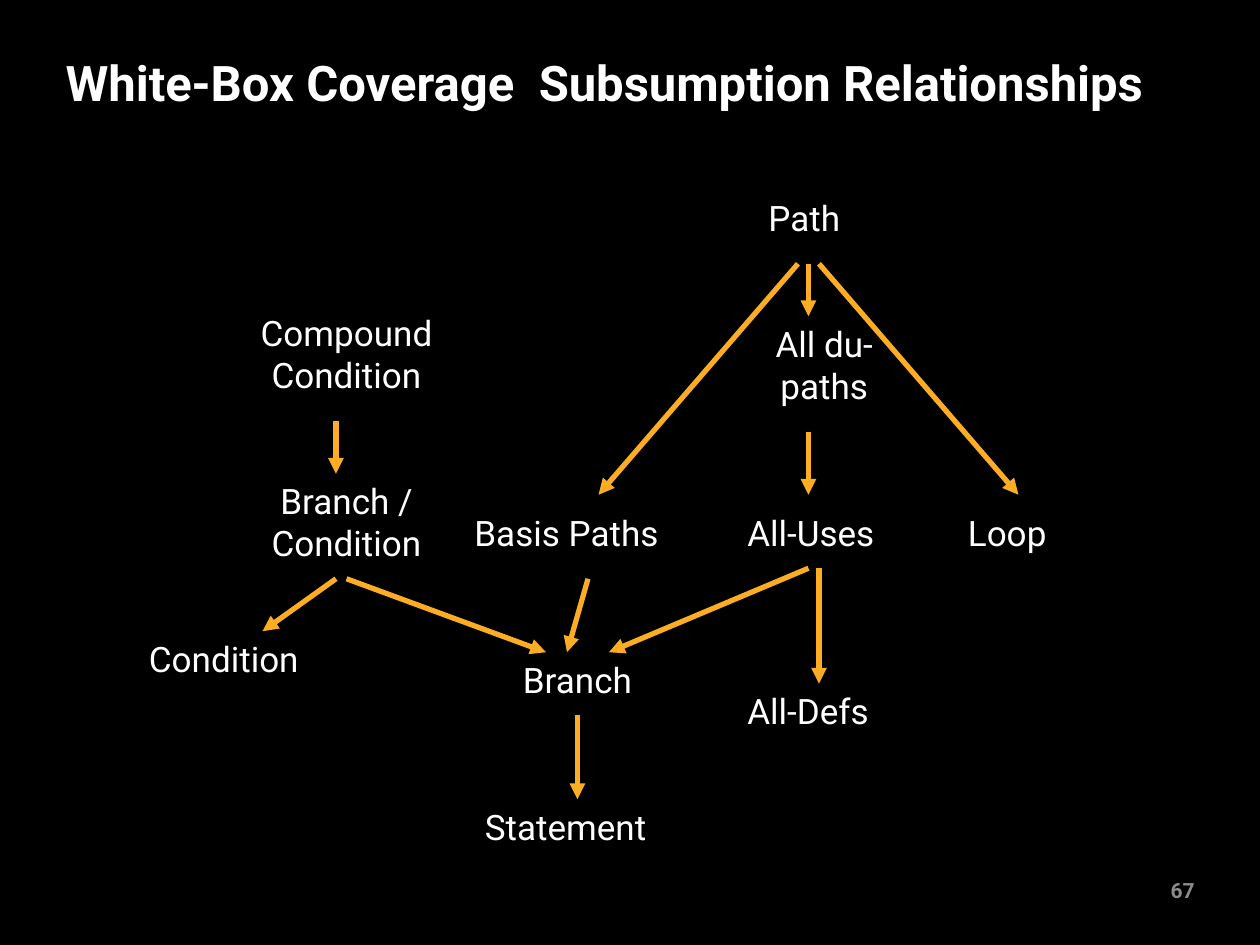
from dataclasses import dataclass
from lxml import etree
from pptx import Presentation
from pptx.dml.color import RGBColor
from pptx.enum.shapes import MSO_CONNECTOR
from pptx.enum.text import MSO_ANCHOR, PP_ALIGN
from pptx.oxml.ns import qn
from pptx.util import Inches, Pt

LEFT, CENTER, RIGHT = PP_ALIGN.LEFT, PP_ALIGN.CENTER, PP_ALIGN.RIGHT
TOP, MIDDLE = MSO_ANCHOR.TOP, MSO_ANCHOR.MIDDLE
STRAIGHT = MSO_CONNECTOR.STRAIGHT


@dataclass(frozen=True)
class Theme:
    font: str = "Roboto"
    back: str = "000000"
    text: str = "FFFFFF"
    muted: str = "8C8C8C"
    arrow: str = "FDAD23"
    title_size: int = 28
    node_size: int = 20
    number_size: int = 12
    arrow_width: int = 3


THEME = Theme()
WIDTH, HEIGHT = 10, 7.5
CELLS_PER_INCH = 12
TOP_OFFSET = 0.01
LINE_HEIGHT, PADDING = 0.33, 0.1

TITLE = "White-Box Coverage  Subsumption Relationships"
NUMBER = "67"

# label, column, row, columns wide, text lines, alignment
NODES = [
    ("Path", 72, 18, 12, 1, LEFT),
    ("All du-paths", 71, 30, 15, 2, CENTER),
    ("All-Uses", 70, 48, 18, 1, LEFT),
    ("All-Defs", 70, 65, 17, 1, LEFT),
    ("Compound Condition", 19, 29, 28, 2, CENTER),
    ("Branch / Condition", 22, 45, 22, 2, CENTER),
    ("Basis Paths", 44, 48, 26, 1, LEFT),
    ("Loop", 91, 48, 16, 1, LEFT),
    ("Condition", 13, 60, 22, 1, LEFT),
    ("Statement", 45, 76, 23, 1, LEFT),
    ("Branch", 46, 62, 18, 1, CENTER),
]

ARROWS = [
    ((77, 25), (77, 30)),
    ((76, 25), (57, 47)),
    ((78, 25), (97, 47)),
    ((77, 41), (77, 47)),
    ((77, 54), (58, 62)),
    ((78, 54), (78, 65)),
    ((56, 55), (54, 62)),
    ((55, 68), (55, 76)),
    ((32, 40), (32, 45)),
    ((32, 55), (25, 60)),
    ((33, 55), (52, 62)),
]


def grid(col, row):
    return Inches(col / CELLS_PER_INCH), Inches(row / CELLS_PER_INCH + TOP_OFFSET)


def write(sp, text, size, color, align=LEFT, anchor=TOP, bold=False):
    tf = sp.text_frame
    tf.word_wrap = True
    tf.vertical_anchor = anchor
    tf.text = text
    p = tf.paragraphs[0]
    p.alignment = align
    font = p.runs[0].font
    font.name, font.size, font.bold = THEME.font, Pt(size), bold
    font.color.rgb = RGBColor.from_string(color)
    return p


def add_title(s):
    sp = s.shapes.title
    sp.left, sp.top = Inches(0.042 * WIDTH), Inches(0.039 * HEIGHT)
    sp.width, sp.height = Inches(0.915 * WIDTH), Inches(0.104 * HEIGHT)
    p = write(sp, TITLE, THEME.title_size, THEME.text, anchor=MIDDLE, bold=True)
    p.line_spacing = 0.9


def add_node(s, label, col, row, cols, lines, align):
    height = Inches(lines * LINE_HEIGHT + PADDING)
    sp = s.shapes.add_textbox(*grid(col, row), Inches(cols / CELLS_PER_INCH), height)
    write(sp, label, THEME.node_size, THEME.text, align)


def add_arrow(s, start, end):
    sp = s.shapes.add_connector(STRAIGHT, *grid(*start), *grid(*end))
    sp.line.width = Pt(THEME.arrow_width)
    sp.line.color.rgb = RGBColor.from_string(THEME.arrow)
    etree.SubElement(sp.line._get_or_add_ln(), qn("a:tailEnd"), type="triangle")
    etree.SubElement(sp._element.spPr, qn("a:effectLst"))


def add_number(s):
    sp = s.shapes.add_textbox(Inches(0.851 * WIDTH), Inches(0.915 * HEIGHT),
                              Inches(0.107 * WIDTH), Inches(0.053 * HEIGHT))
    write(sp, NUMBER, THEME.number_size, THEME.muted, RIGHT, MIDDLE, True)


def main():
    prs = Presentation()
    prs.slide_width, prs.slide_height = Inches(WIDTH), Inches(HEIGHT)
    s = prs.slides.add_slide(prs.slide_layouts[5])
    fill = s.background.fill
    fill.solid()
    fill.fore_color.rgb = RGBColor.from_string(THEME.back)
    add_title(s)
    for node in NODES:
        add_node(s, *node)
    for start, end in ARROWS:
        add_arrow(s, start, end)
    add_number(s)
    prs.save("out.pptx")


if __name__ == "__main__":
    main()
